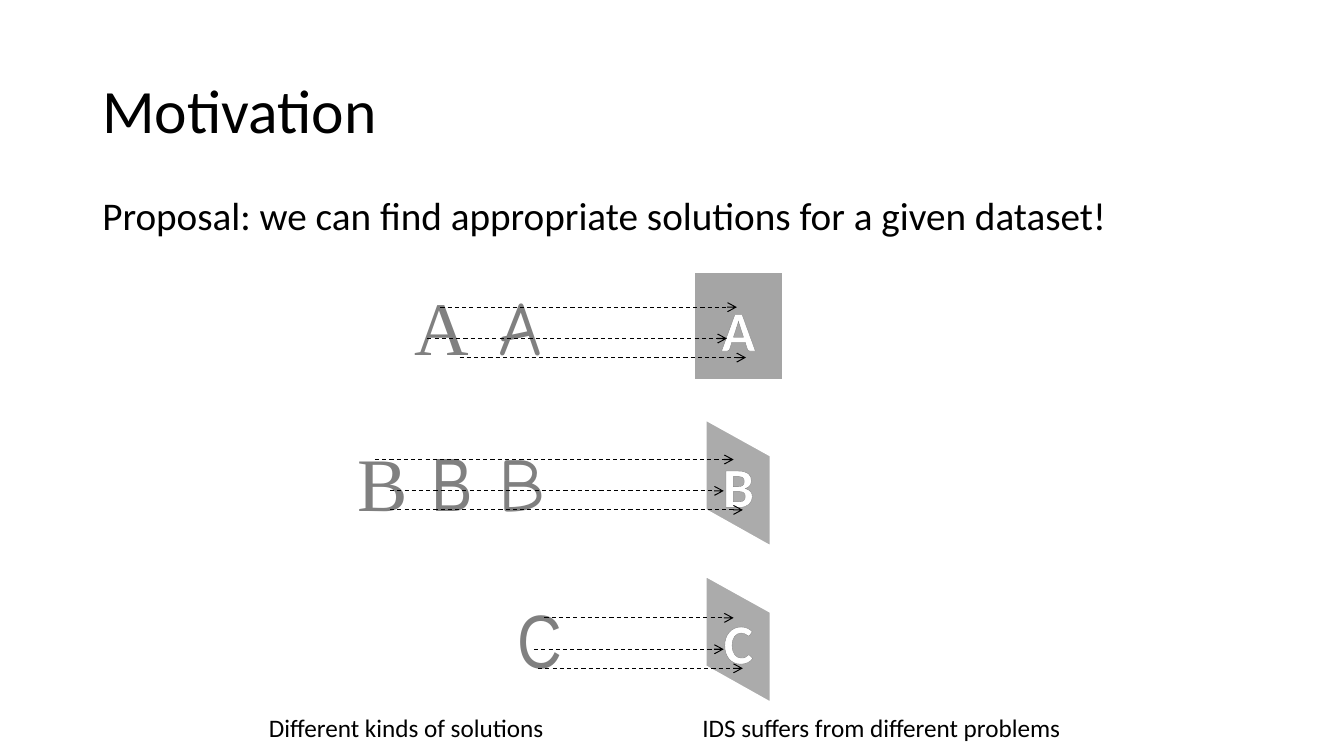
from dataclasses import dataclass

from lxml import etree
from pptx import Presentation
from pptx import util as u
from pptx.dml import color, line
from pptx.enum import dml, shapes, text
from pptx.oxml import ns


@dataclass(frozen=True)
class Theme:
    black: str = "000000"
    white: str = "FFFFFF"
    grey: str = "808080"
    panel: str = "A5A5A5"
    tilted_panel: str = "ABABAB"
    body_font: str = "Calibri"
    serif: str = "Times New Roman"
    narrow: str = "Arial Narrow"
    comic: str = "Comic Neue"
    title: int = 44
    proposal: int = 28
    sample: int = 54
    target: int = 40
    caption: int = 18


class Board:
    """Holds the theme and the slide, and draws each kind of element."""

    def __init__(self, slide, theme):
        self.slide, self.theme = slide, theme

    def group(self):
        return self.slide.shapes.add_group_shape().shapes

    def label(self, words, box, size, tone=None, font=None, parent=None, centre=False, wrap=False):
        holder = self.slide.shapes if parent is None else parent
        frame = holder.add_textbox(*map(u.Cm, box)).text_frame
        frame.word_wrap = wrap
        frame.auto_size = text.MSO_AUTO_SIZE.NONE if wrap else text.MSO_AUTO_SIZE.SHAPE_TO_FIT_TEXT
        paragraph = frame.paragraphs[0]
        paragraph.alignment = text.PP_ALIGN.CENTER if centre else text.PP_ALIGN.LEFT
        run = paragraph.add_run()
        run.text = words
        run.font.size = u.Pt(size)
        run.font.name = font or self.theme.body_font
        run.font.color.rgb = color.RGBColor.from_string(tone or self.theme.black)
        return frame

    def outline_letter(self, frame):
        font = frame.paragraphs[0].runs[0].font
        font.bold = True
        properties = font._element
        edge = etree.Element(ns.qn("a:ln"), w=str(u.Pt(0.8)))
        fill = etree.SubElement(edge, ns.qn("a:solidFill"))
        etree.SubElement(fill, ns.qn("a:srgbClr"), val=self.theme.grey)
        properties.insert(0, edge)

    def panel(self, parent, top, tilted):
        if tilted:
            corners = [(17.78, -0.3), (19.42, 0.61), (19.42, 2.9), (17.78, 1.98)]
            points = [(u.Cm(x), u.Cm(top + y)) for x, y in corners]
            builder = parent.build_freeform(*points[0])
            builder.add_line_segments(points[1:], close=True)
            plate = builder.convert_to_shape()
        else:
            plate = parent.add_shape(shapes.MSO_SHAPE.RECTANGLE, u.Cm(17.5), u.Cm(top - 0.08),
                                     u.Cm(2.24), u.Cm(2.72))
        plate.shadow.inherit = False
        plate.fill.solid()
        tone = self.theme.tilted_panel if tilted else self.theme.panel
        plate.fill.fore_color.rgb = color.RGBColor.from_string(tone)
        plate.line.color.rgb = color.RGBColor.from_string(self.theme.white)
        plate.line.width = u.Pt(1.5)

    def arrow(self, start, end, y):
        arrow = self.slide.shapes.add_connector(
            shapes.MSO_CONNECTOR.STRAIGHT, u.Cm(start), u.Cm(y), u.Cm(end), u.Cm(y))
        arrow.line.color.rgb = color.RGBColor.from_string(self.theme.black)
        arrow.line.width = u.Pt(0.75)
        arrow.line.dash_style = dml.MSO_LINE.DASH
        etree.SubElement(arrow.line._get_or_add_ln(), ns.qn("a:tailEnd"), type="arrow")
        etree.SubElement(arrow._element.spPr, ns.qn("a:effectLst"))


def main():
    deck = Presentation()
    deck.slide_width, deck.slide_height = u.Cm(33.87), u.Cm(19.05)
    theme = Theme()
    board = Board(deck.slides.add_slide(deck.slide_layouts[6]), theme)

    # Per letter: samples (font, left, width), target width, arrow starts, first tip, first arrow drop
    letters = {
        "A": ([(theme.serif, 10.19, 1.9), (theme.comic, 12.19, 1.85)],
              1.37, (11.1, 10.77, 11.58), 18.57, 0.81),
        "B": ([(theme.serif, 8.74, 1.8), (theme.narrow, 10.62, 1.55), (theme.comic, 12.27, 1.78)],
              1.32, (9.45, 9.83, 9.83), 18.49, 0.71),
        "C": ([(theme.narrow, 12.78, 1.3)],
              1.27, (13.72, 13.46, 13.56), 18.49, 0.76),
    }
    first_row, row_pitch, target_centre = 6.93, 3.94, 18.61
    arrow_steps = [(0, 0), (-0.25, 0.79), (0.23, 1.27)]

    # Letter rows: solutions on the left, problem panel on the right
    for row, (letter, (samples, width, starts, tip, drop)) in enumerate(letters.items()):
        top = first_row + row * row_pitch
        family = board.group()
        for font, left, sample_width in samples:
            board.label(letter, (left, top, sample_width, 2.57), theme.sample,
                        theme.grey, font, family, centre=True)
        board.panel(family, top, tilted=row > 0)
        target = board.label(letter, (target_centre - width / 2, top + 0.38, width, 1.96),
                             theme.target, theme.white, parent=family, centre=True)
        board.outline_letter(target)
        for start, (shift, step) in zip(starts, arrow_steps):
            board.arrow(start, tip + shift, top + drop + step)

    # Title and proposal
    title = board.label("Motivation", (2.33, 1.01, 29.21, 3.68), theme.title, wrap=True)
    title.vertical_anchor = text.MSO_ANCHOR.MIDDLE
    title.paragraphs[0].line_spacing = 0.9
    board.label("Proposal: we can find appropriate solutions for a given dataset!",
                (2.33, 4.7, 26.09, 1.45), theme.proposal)

    # Captions under the two sides
    board.label("Different kinds of solutions", (6.53, 17.83, 7.52, 1.02), theme.caption)
    board.label("IDS suffers from different problems", (17.45, 17.83, 9.65, 1.02), theme.caption)

    deck.save("out.pptx")


if __name__ == "__main__":
    main()
